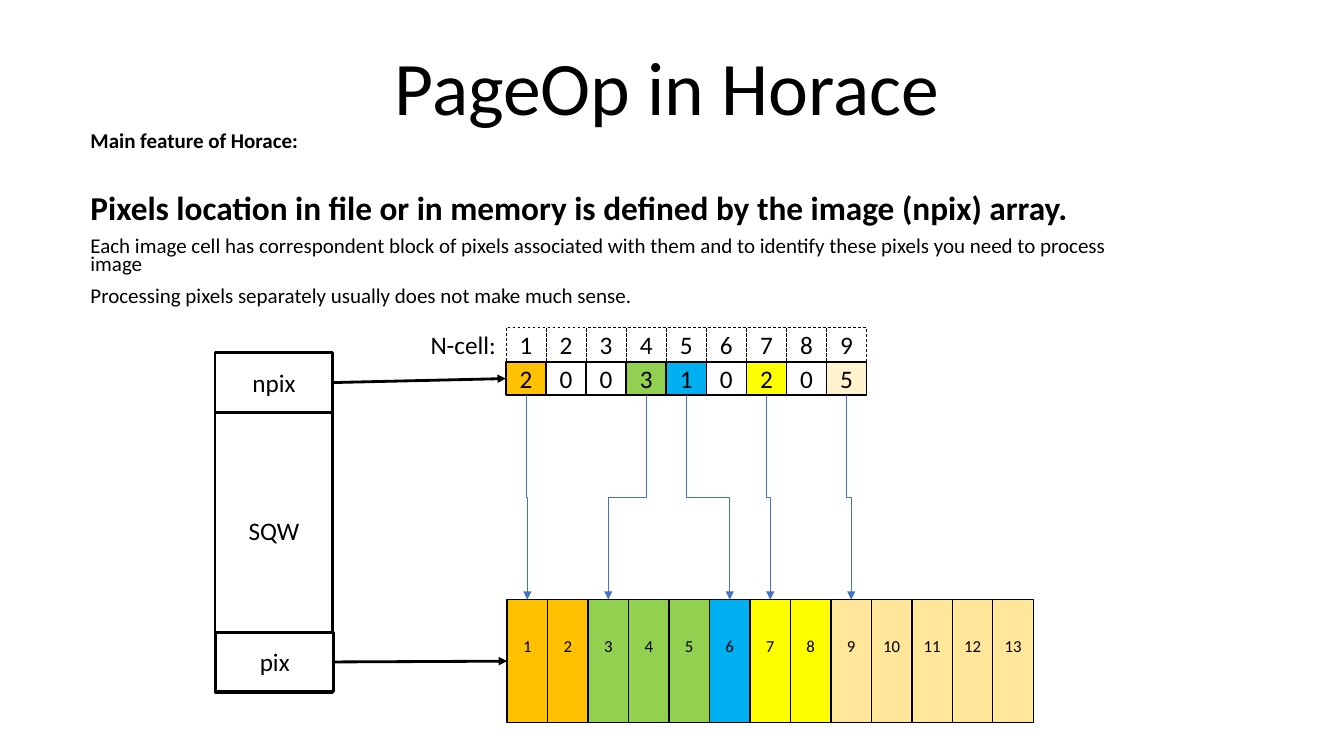
import pptx
import pptx.util
import pptx.dml.color
import pptx.enum.dml
import pptx.enum.shapes
import pptx.enum.text
import pptx.oxml.ns
from lxml import etree

Cm, Pt = pptx.util.Cm, pptx.util.Pt
RGB = pptx.dml.color.RGBColor.from_string
ALIGN, ANCHOR = pptx.enum.text.PP_ALIGN, pptx.enum.text.MSO_ANCHOR
CONNECTOR = pptx.enum.shapes.MSO_CONNECTOR


class Theme:
    font = "Calibri"
    ink, paper, link = "000000", "FFFFFF", "4472C4"
    orange, green, blue, yellow = "FFC000", "92D050", "00B0F0", "FFFF00"
    cream, sand = "FFF2CC", "FFE699"
    title, key, body, label, pixel = 54, 23.8, 15, 18, 12


def write(p, text, size, bold=False, align=ALIGN.LEFT):
    p.text = text
    p.alignment = align
    font = p.runs[0].font
    font.name, font.size, font.bold = Theme.font, Pt(size), bold
    font.color.rgb = RGB(Theme.ink)


def box(x, y, w, h, text, fill=None, line=1, size=Theme.label):
    sp = s.shapes.add_shape(pptx.enum.shapes.MSO_SHAPE.RECTANGLE, Cm(x), Cm(y), Cm(w), Cm(h))
    sp.shadow.inherit = False
    if fill:
        sp.fill.solid()
        sp.fill.fore_color.rgb = RGB(fill)
    else:
        sp.fill.background()
    sp.line.color.rgb = RGB(Theme.ink)
    sp.line.width = Pt(line)
    tf = sp.text_frame
    tf.margin_left = tf.margin_right = tf.margin_top = tf.margin_bottom = 0
    tf.vertical_anchor = ANCHOR.MIDDLE
    write(tf.paragraphs[0], text, size, align=ALIGN.CENTER)
    return sp


prs = pptx.Presentation()
prs.slide_width, prs.slide_height = Cm(33.87), Cm(19.05)
s = prs.slides.add_slide(prs.slide_layouts[6])

# Title
tf = s.shapes.add_textbox(Cm(4.11), Cm(1.14), Cm(25.4), Cm(2.31)).text_frame
tf.word_wrap = True
tf.vertical_anchor = ANCHOR.BOTTOM
write(tf.paragraphs[0], "PageOp in Horace", Theme.title, align=ALIGN.CENTER)
tf.paragraphs[0].line_spacing = 0.9

# Introduction: text, size, bold, space before
intro = [
    ("Main feature of Horace:", Theme.body, True, 10),
    ("Pixels location in file or in memory is defined by the image (npix) array.",
     Theme.key, True, 33),
    ("Each image cell has correspondent block of pixels associated with them and "
     "to identify these pixels you need to process image", Theme.body, False, 10),
    ("Processing pixels separately usually does not make much sense.",
     Theme.body, False, 10),
]
tf = s.shapes.add_textbox(Cm(2.03), Cm(3.25), Cm(27.33), Cm(4.67)).text_frame
tf.word_wrap = True
for i, (text, size, bold, before) in enumerate(intro):
    p = tf.add_paragraph() if i else tf.paragraphs[0]
    write(p, text, size, bold)
    p.line_spacing = 0.7
    p.space_before = Pt(before)

# SQW object with its npix and pix parts
box(5.42, 9.27, 2.97, 8.18, "SQW", Theme.paper, 2)
npix = box(5.42, 8.89, 2.97, 1.5, "npix", Theme.paper, 2)
pix = box(5.44, 15.93, 2.97, 1.5, "pix", Theme.paper, 2)

# Image cells: pixel count, cell fill, pixel fill
image = [
    (2, Theme.orange, Theme.orange), (0, None, None), (0, None, None),
    (3, Theme.green, Theme.green), (1, Theme.blue, Theme.blue), (0, None, None),
    (2, Theme.yellow, Theme.yellow), (0, None, None), (5, Theme.cream, Theme.sand),
]
cells, pixels, links = [], [], []
for i, (count, cell_fill, pixel_fill) in enumerate(image):
    x = 12.75 + 1.01 * i
    number = box(x, 8.26, 1.01, 0.84, str(i + 1), line=0.5)
    number.line.dash_style = pptx.enum.dml.MSO_LINE.DASH
    cells.append(box(x, 9.12, 1.01, 0.84, str(count), cell_fill))
    if count:
        links.append((i, len(pixels)))
    # Block of pixels belonging to this cell
    for _ in range(count):
        n = len(pixels)
        sp = box(12.78 + 1.02 * n, 15.11, 1.02, 3.1, str(n + 1), pixel_fill, size=Theme.pixel)
        sp.text_frame.margin_bottom = Cm(0.76)
        pixels.append(sp)

tf = s.shapes.add_textbox(Cm(10.6), Cm(8.18), Cm(2.21), Cm(1.02)).text_frame
write(tf.paragraphs[0], "N-cell:", Theme.label)

# Arrows: type, start shape and side, end shape and side, colour, width
arrows = [
    (CONNECTOR.STRAIGHT, npix, 3, cells[0], 1, Theme.ink, 2),
    (CONNECTOR.STRAIGHT, pix, 3, pixels[0], 1, Theme.ink, 2),
]
arrows += [(CONNECTOR.ELBOW, cells[c], 2, pixels[n], 0, Theme.link, 0.5) for c, n in links]
for kind, start, start_side, end, end_side, color, width in arrows:
    cn = s.shapes.add_connector(kind, 0, 0, 0, 0)
    cn.begin_connect(start, start_side)
    cn.end_connect(end, end_side)
    cn.line.color.rgb = RGB(color)
    cn.line.width = Pt(width)
    spPr = cn._element.spPr
    etree.SubElement(spPr.find(pptx.oxml.ns.qn("a:ln")), pptx.oxml.ns.qn("a:tailEnd"), type="triangle")
    etree.SubElement(spPr, pptx.oxml.ns.qn("a:effectLst"))
    if kind == CONNECTOR.ELBOW:
        # Turn the elbow so that it leaves and arrives vertically
        x1, y1, x2, y2 = cn.begin_x, cn.begin_y, cn.end_x, cn.end_y
        length, shift = y2 - y1, abs(x2 - x1)
        cn.left, cn.top = (x1 + x2 - length) // 2, (y1 + y2 - shift) // 2
        cn.width, cn.height = length, shift
        xfrm = spPr.find(pptx.oxml.ns.qn("a:xfrm"))
        rightward = x2 > x1
        xfrm.set("rot", str((270 if rightward else 90) * 60000))
        xfrm.set("flipH", "1" if rightward else "0")
        xfrm.set("flipV", "0")

prs.save("out.pptx")
